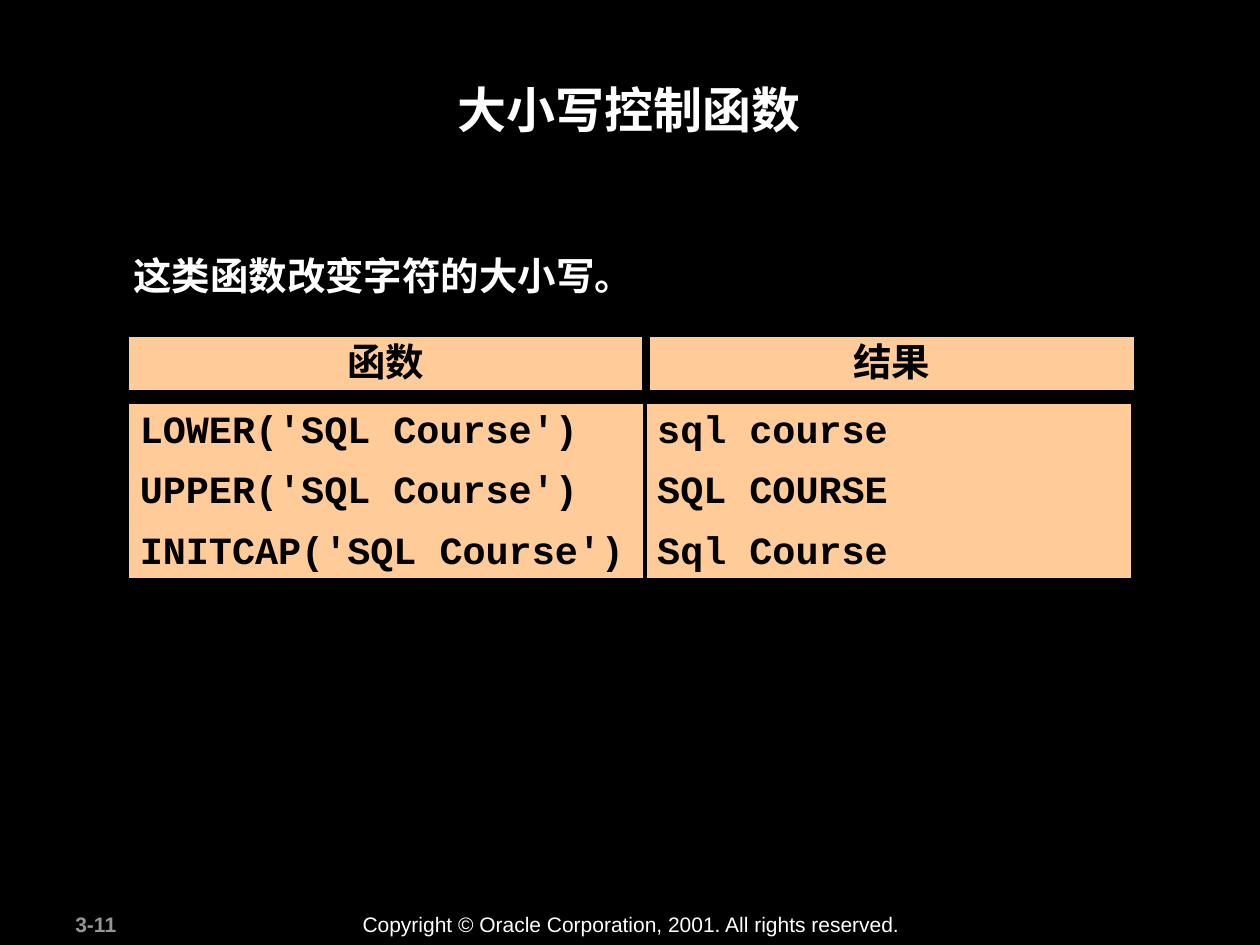
from pptx import Presentation
from pptx.dml.color import RGBColor
from pptx.enum.shapes import MSO_SHAPE
from pptx.enum.text import MSO_ANCHOR, PP_ALIGN
from pptx.util import Cm, Pt

RECTANGLE = MSO_SHAPE.RECTANGLE
TOP, MIDDLE = MSO_ANCHOR.TOP, MSO_ANCHOR.MIDDLE
LEFT, CENTER = PP_ALIGN.LEFT, PP_ALIGN.CENTER

COLORS = {"background": "000000", "light": "FFFFFF", "dark": "000000",
          "muted": "969696", "cell": "FFCC99"}

FORMATS = {
    "title": {"size": Pt(28), "bold": True, "name": "Arial"},
    "body": {"size": Pt(22), "bold": True, "name": "Arial"},
    "code": {"size": Pt(22), "bold": True, "name": "Courier New"},
    "page": {"size": Pt(12), "bold": True, "name": "Arial"},
    "copyright": {"size": Pt(12), "bold": False, "name": "Arial"},
}

HEADINGS = ("函数", "结果")
EXAMPLES = (
    ("LOWER('SQL Course')", "UPPER('SQL Course')", "INITCAP('SQL Course')"),
    ("sql course", "SQL COURSE", "Sql Course"),
)


def color(key):
    return RGBColor.from_string(COLORS[key])


def write(part, lines, style, ink, align=LEFT, anchor=TOP, spacing=None, wrap=True):
    frame = part.text_frame
    frame.word_wrap = wrap
    frame.vertical_anchor = anchor
    for index, line in enumerate(lines):
        paragraph = frame.paragraphs[0] if index == 0 else frame.add_paragraph()
        paragraph.alignment = align
        paragraph.line_spacing = spacing
        if index:
            paragraph.space_before = Pt(9.6)
        run = paragraph.add_run()
        run.text = line
        for attribute, value in FORMATS[style].items():
            setattr(run.font, attribute, value)
        run.font.color.rgb = color(ink)


def add_text(slide, box, line, style, ink, **layout):
    text = slide.shapes.add_textbox(*(Cm(length) for length in box))
    write(text, [line], style, ink, **layout)


def add_cell(slide, box, lines, style, **layout):
    cell = slide.shapes.add_shape(RECTANGLE, *(Cm(length) for length in box))
    cell.shadow.inherit = False
    cell.fill.solid()
    cell.fill.fore_color.rgb = color("cell")
    cell.line.color.rgb = color("dark")
    cell.line.width = Pt(2)
    write(cell, lines, style, "dark", spacing=0.95, **layout)


def add_heading(slide, left, top, width):
    # Title and introductory sentence
    add_text(slide, (left, top, width, 2.44), "大小写控制函数", "title", "light",
             align=CENTER)
    add_text(slide, (left + 0.05, top + 3.56, width - 0.05, 1.14),
             "这类函数改变字符的大小写。", "body", "light", spacing=0.95)


def add_function_panel(slide, left, top):
    # Column headings: offset and width of each
    for heading, (offset, width) in zip(HEADINGS, ((0, 10.41), (10.49, 9.83))):
        add_cell(slide, (left + offset, top, width, 1.14), [heading], "body",
                 align=CENTER, anchor=MIDDLE)
    # Calls and their results, one block per column
    for lines, (offset, width) in zip(EXAMPLES, ((0, 10.62), (10.43, 9.83))):
        add_cell(slide, (left + offset, top + 1.34, width, 3.58), lines, "code",
                 anchor=MIDDLE)


def add_footer(slide, left, top):
    add_text(slide, (left, top, 2.67, 0.76), "3-11", "page", "muted", anchor=MIDDLE)
    add_text(slide, (left + 5.79, top, 11.38, 0.76),
             "Copyright © Oracle Corporation, 2001. All rights reserved.",
             "copyright", "light", anchor=MIDDLE, wrap=False)


def main():
    deck = Presentation()
    deck.slide_width, deck.slide_height = Cm(25.4), Cm(19.05)
    slide = deck.slides.add_slide(deck.slide_layouts[6])
    slide.background.fill.solid()
    slide.background.fill.fore_color.rgb = color("background")

    add_footer(slide, 1.27, 18.25)
    add_heading(slide, 2.39, 1.47, 20.57)
    add_function_panel(slide, 2.57, 6.76)
    deck.save("out.pptx")


if __name__ == "__main__":
    main()
